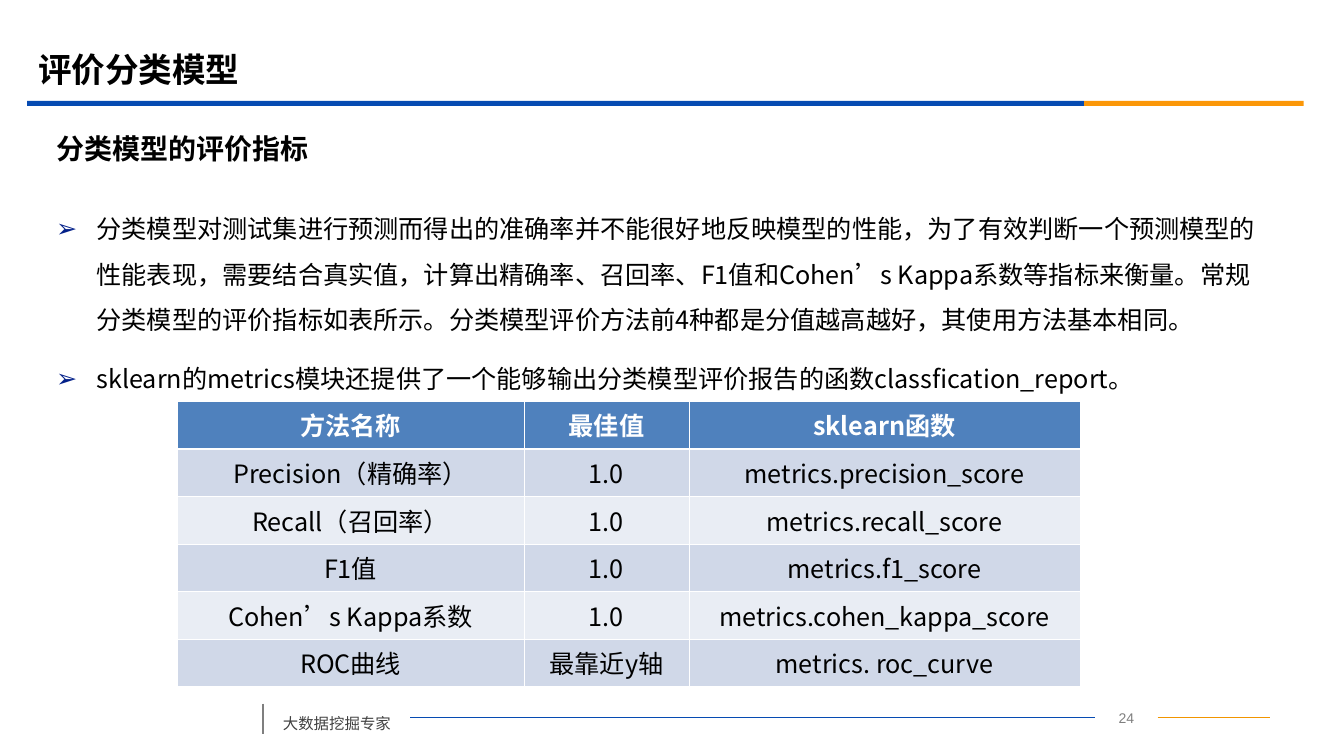
from lxml.etree import SubElement
from pptx import Presentation
from pptx.dml.color import RGBColor
from pptx.enum.shapes import MSO_CONNECTOR as CONN, MSO_SHAPE as SHAPE
from pptx.enum.text import MSO_ANCHOR as ANCHOR, PP_ALIGN as ALIGN
from pptx.oxml.ns import qn
from pptx.util import Inches, Pt

CJK = "Noto Sans CJK SC"
BLUE, ORANGE, GRAY, WHITE, BLACK = "064BB2", "FB9708", "7F7F7F", "FFFFFF", "000000"
BULLETS = [
    "分类模型对测试集进行预测而得出的准确率并不能很好地反映模型的性能，为了有效判断一个预测模型的性能表现，"
    "需要结合真实值，计算出精确率、召回率、F1值和Cohen’s Kappa系数等指标来衡量。"
    "常规分类模型的评价指标如表所示。分类模型评价方法前4种都是分值越高越好，其使用方法基本相同。",
    "sklearn的metrics模块还提供了一个能够输出分类模型评价报告的函数classfication_report。",
]
METRICS = [
    ("方法名称", "最佳值", "sklearn函数"),
    ("Precision（精确率）", "1.0", "metrics.precision_score"),
    ("Recall（召回率）", "1.0", "metrics.recall_score"),
    ("F1值", "1.0", "metrics.f1_score"),
    ("Cohen’s Kappa系数", "1.0", "metrics.cohen_kappa_score"),
    ("ROC曲线", "最靠近y轴", "metrics. roc_curve"),
]


def color(value):
    """Turn a hex string into a colour."""
    return RGBColor.from_string(value)


def add_run(p, text, size, fill=BLACK, bold=False, font=CJK):
    """Add a run with one font for Latin and East Asian text."""
    r = p.add_run()
    r.text = text
    r.font.size, r.font.bold, r.font.name = Pt(size), bold, font
    r.font.color.rgb = color(fill)
    SubElement(r.font._element, qn("a:ea"), typeface=font)


def add_box(slide, x, y, w, h, anchor=ANCHOR.TOP):
    """Add a wrapping text box and return its text frame."""
    tf = slide.shapes.add_textbox(Inches(x), Inches(y), Inches(w), Inches(h)).text_frame
    tf.word_wrap = True
    tf.vertical_anchor = anchor
    return tf


def add_bar(slide, x, y, w, h, fill):
    """Add a plain filled bar."""
    sp = slide.shapes.add_shape(SHAPE.RECTANGLE, Inches(x), Inches(y), Inches(w), Inches(h))
    sp.shadow.inherit = False
    sp.fill.solid()
    sp.fill.fore_color.rgb = color(fill)
    sp.line.fill.background()


def add_line(slide, x1, y1, x2, y2, stroke, width):
    """Add a straight line without a shadow."""
    line = slide.shapes.add_connector(CONN.STRAIGHT, Inches(x1), Inches(y1), Inches(x2), Inches(y2))
    line.line.color.rgb = color(stroke)
    line.line.width = Pt(width)
    SubElement(line._element.spPr, qn("a:effectLst"))


def add_footer(slide, x, y):
    """Draw the slogan, page number and rules along the bottom."""
    p = add_box(slide, x + 8.26, y + 0.05, 0.62, 0.25).paragraphs[0]
    p.alignment = ALIGN.CENTER
    add_run(p, "24", 10, GRAY, font="Arial")
    add_line(slide, x + 8.88, y + 0.18, x + 10, y + 0.18, "F19500", 0.75)
    add_line(slide, x + 1.46, y + 0.18, x + 8.26, y + 0.18, BLUE, 0.75)
    p = add_box(slide, x + 0.1, y, 1.36, 0.38).paragraphs[0]
    p.line_spacing = 1.5
    add_run(p, "大数据挖掘专家", 11, "404040")
    add_line(slide, x, y + 0.04, x, y + 0.34, GRAY, 1.25)


def add_heading(slide, x, y, w):
    """Draw the title, its two-colour rule and the subtitle."""
    split = 10.49
    add_bar(slide, x, y + 0.61, split, 0.05, BLUE)
    add_bar(slide, x + split, y + 0.61, w - split, 0.05, ORANGE)
    title = add_box(slide, x + 0.01, y, 12, 0.58, ANCHOR.MIDDLE)
    add_run(title.paragraphs[0], "评价分类模型", 24, bold=True)
    subtitle = add_box(slide, x + 0.19, y + 0.85, 12.15, 0.47, ANCHOR.MIDDLE)
    add_run(subtitle.paragraphs[0], "分类模型的评价指标", 20, bold=True)


def add_bullets(slide, x, y, w, h):
    """Write the bulleted paragraphs."""
    tf = add_box(slide, x, y, w, h)
    for i, text in enumerate(BULLETS):
        p = tf.add_paragraph() if i else tf.paragraphs[0]
        p.line_spacing = 1.5
        if i:
            p.space_before = Pt(10)
        pPr = p._p.get_or_add_pPr()
        pPr.set("marL", str(Inches(0.4)))
        pPr.set("indent", str(-Inches(0.4)))
        SubElement(SubElement(pPr, qn("a:buClr")), qn("a:srgbClr"), val="032089")
        SubElement(pPr, qn("a:buFont"), typeface="Arial")
        SubElement(pPr, qn("a:buChar"), char="➢")
        add_run(p, text, 18)


def set_borders(cell, widths):
    """Give a cell white borders, with widths in points by side."""
    tcPr = cell._tc.get_or_add_tcPr()
    for side, width in widths.items():
        ln = SubElement(tcPr, qn(f"a:ln{side}"), w=str(Pt(width)))
        SubElement(SubElement(ln, qn("a:solidFill")), qn("a:srgbClr"), val=WHITE)


def add_metrics_table(slide, x, y, w, h):
    """Draw the table of evaluation metrics."""
    thin, thick = 0.45, 1.47
    table = slide.shapes.add_table(len(METRICS), 3, Inches(x), Inches(y), Inches(w), Inches(h)).table
    for column, width in zip(table.columns, (3.44, 1.64, w - 5.08)):
        column.width = Inches(width)
    for i, row in enumerate(METRICS):
        header = i == 0
        fill = "4F81BD" if header else "D0D8E8" if i % 2 else "E9EDF4"
        for j, text in enumerate(row):
            cell = table.cell(i, j)
            cell.margin_left = cell.margin_right = Inches(0.05)
            cell.margin_top = cell.margin_bottom = Inches(0.05)
            cell.vertical_anchor = ANCHOR.MIDDLE
            set_borders(cell, {"L": thin, "R": thin, "T": thick if i == 1 else thin,
                               "B": thick if header else thin})
            cell.fill.solid()
            cell.fill.fore_color.rgb = color(fill)
            p = cell.text_frame.paragraphs[0]
            p.alignment = ALIGN.CENTER
            add_run(p, text, 18, WHITE if header else BLACK, header)


def main():
    """Build the slide and save it."""
    prs = Presentation()
    prs.slide_width, prs.slide_height = Inches(13.34), Inches(7.5)
    slide = prs.slides.add_slide(prs.slide_layouts[6])
    add_footer(slide, 2.61, 6.94)
    add_heading(slide, 0.27, 0.39, 12.67)
    add_bullets(slide, 0.46, 1.92, 12.15, 4.78)
    add_metrics_table(slide, 1.76, 3.98, 8.96, 2.83)
    prs.save("out.pptx")


if __name__ == "__main__":
    main()
